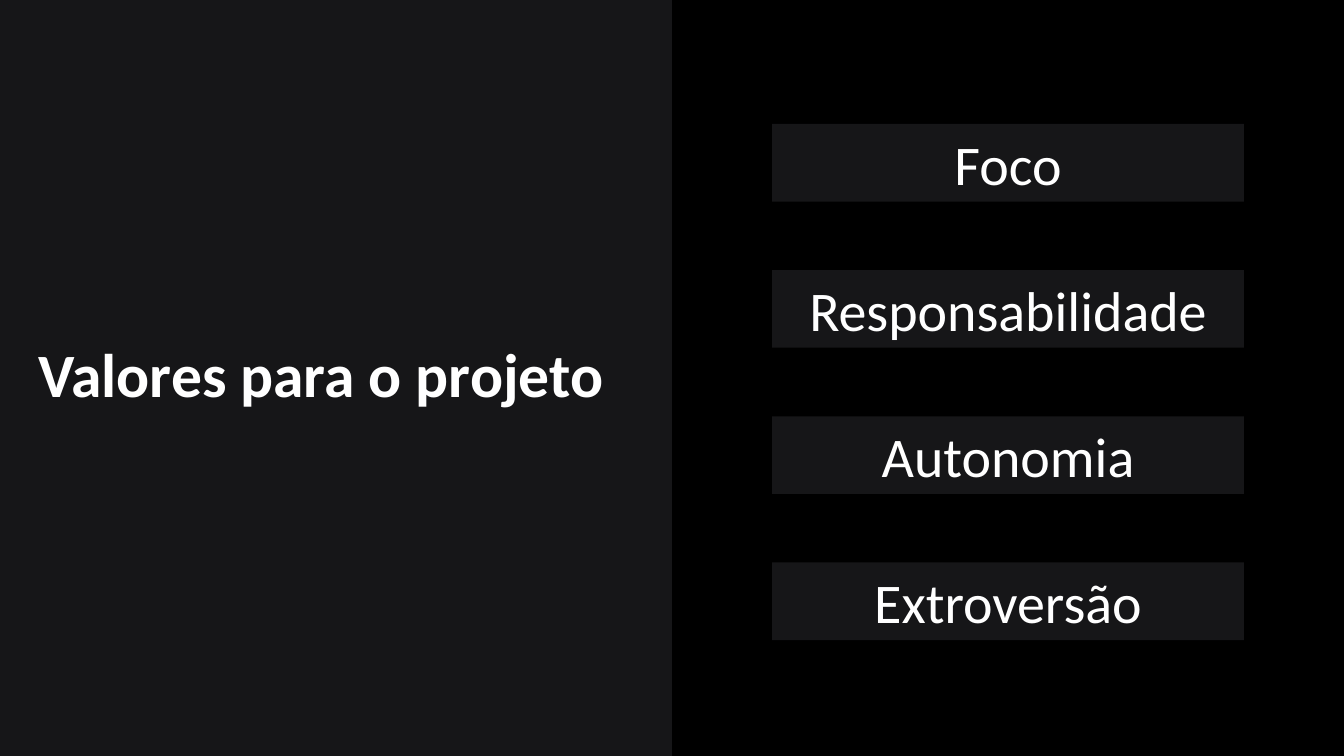
from pptx import Presentation
from pptx.dml.color import RGBColor
from pptx.enum.shapes import MSO_SHAPE
from pptx.enum.text import MSO_ANCHOR, PP_ALIGN
from pptx.util import Inches, Pt

BLACK, CHARCOAL, WHITE = "000000", "161618", "FFFFFF"
VALUES = ["Foco", "Responsabilidade", "Autonomia", "Extroversão"]


def paint(fill, color):
    fill.solid()
    fill.fore_color.rgb = RGBColor.from_string(color)


def add_panel(left, top, width, height, text, size, bold, alignment):
    """Add a borderless charcoal rectangle with one line of white text."""
    shape = slide.shapes.add_shape(MSO_SHAPE.RECTANGLE, left, top, width, height)
    shape.shadow.inherit = False
    shape.line.fill.background()
    paint(shape.fill, CHARCOAL)
    frame = shape.text_frame
    frame.word_wrap = True
    frame.vertical_anchor = MSO_ANCHOR.MIDDLE
    frame.text = text
    paragraph = frame.paragraphs[0]
    paragraph.alignment = alignment
    font = paragraph.runs[0].font
    font.name, font.size, font.bold = "Calibri", Pt(size), bold
    paint(font.fill, WHITE)
    return shape


presentation = Presentation()
presentation.slide_width, presentation.slide_height = Inches(13.33), Inches(7.5)
slide = presentation.slides.add_slide(presentation.slide_layouts[6])
paint(slide.background.fill, BLACK)

# Title panel on the left half
half_width = presentation.slide_width // 2
title = add_panel(0, 0, half_width, presentation.slide_height,
                  "Valores para o projeto", 44, True, PP_ALIGN.LEFT)
title.text_frame.margin_left = Inches(0.38)
title.text_frame.paragraphs[0].line_spacing = 0.9

# Value boxes, centred in the right half
box_width, box_height = Inches(4.68), Inches(0.77)
first_top, row_pitch = Inches(1.23), Inches(1.45)
box_left = half_width + (half_width - box_width) // 2
for row, value in enumerate(VALUES):
    add_panel(box_left, first_top + row * row_pitch, box_width, box_height,
              value, 40, False, PP_ALIGN.CENTER)

presentation.save("out.pptx")
